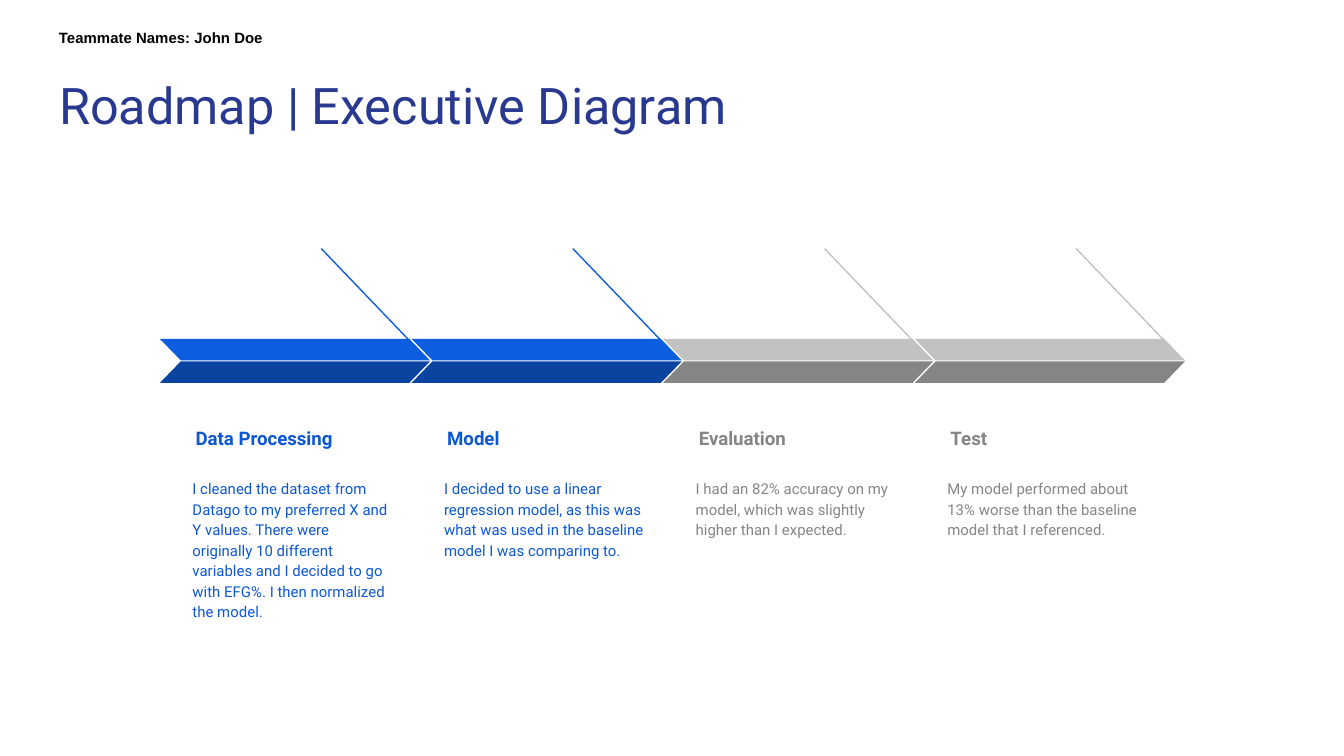
from pptx import Presentation
from pptx.dml.color import RGBColor
from pptx.enum.shapes import MSO_CONNECTOR, MSO_SHAPE
from pptx.enum.text import MSO_ANCHOR, MSO_AUTO_SIZE, PP_ALIGN
from pptx.oxml.ns import qn
from pptx.oxml.xmlchemy import OxmlElement
from pptx.util import Pt

BLUE = ("0D5DDF", "0944A1", "0C58D3")
GRAY = ("C2C2C2", "858585", "858585")
STEPS = [
    ("Data Processing",
     "I cleaned the dataset from Datago to my preferred X and Y values. "
     "There were originally 10 different variables and I decided to go "
     "with EFG%. I then normalized the model.", BLUE),
    ("Model",
     "I decided to use a linear regression model, as this was what was used "
     "in the baseline model I was comparing to.", BLUE),
    ("Evaluation",
     "I had an 82% accuracy on my model, which was slightly higher than "
     "I expected.", GRAY),
    ("Test",
     "My model performed about 13% worse than the baseline model that "
     "I referenced.", GRAY),
]


def rgb(color):
    return RGBColor.from_string(color)


def set_text(sp, text, size, color, font="Roboto", bold=False,
             anchor=MSO_ANCHOR.TOP, spacing=1.0, after=0):
    tf = sp.text_frame
    tf.word_wrap = True
    tf.auto_size = MSO_AUTO_SIZE.NONE
    tf.vertical_anchor = anchor
    tf.margin_left = tf.margin_right = Pt(7.2)
    tf.margin_top = tf.margin_bottom = Pt(7.2)
    p = tf.paragraphs[0]
    p.alignment = PP_ALIGN.LEFT
    p.line_spacing = spacing
    p.space_before = Pt(0)
    p.space_after = Pt(after)
    r = p.add_run()
    r.text = text
    r.font.name = font
    r.font.size = Pt(size)
    r.font.bold = bold
    r.font.color.rgb = rgb(color)


def add_text(shapes, x, y, w, h, text, size, color, **style):
    sp = shapes.add_textbox(Pt(x), Pt(y), Pt(w), Pt(h))
    set_text(sp, text, size, color, **style)


def add_bar(shapes, x, y, w, h, color, flip=False):
    sp = shapes.add_shape(MSO_SHAPE.PARALLELOGRAM, Pt(x), Pt(y), Pt(w), Pt(h))
    sp.adjustments[0] = 0.97
    sp.shadow.inherit = False
    sp.fill.solid()
    sp.fill.fore_color.rgb = rgb(color)
    sp.line.fill.background()
    if flip:
        sp._element.spPr.find(qn("a:xfrm")).set("flipH", "1")


def add_leader(shapes, x1, y1, x2, y2, color):
    line = shapes.add_connector(MSO_CONNECTOR.STRAIGHT,
                                Pt(x1), Pt(y1), Pt(x2), Pt(y2))
    line.line.color.rgb = rgb(color)
    line.line.width = Pt(0.75)
    line._element.spPr.append(OxmlElement("a:effectLst"))


def add_header(slide, x, y, w):
    title = slide.shapes.title
    title.left, title.top, title.width, title.height = (
        Pt(x), Pt(y + 24.5), Pt(w), Pt(47.5))
    set_text(title, "Roadmap | Executive Diagram", 27, "2A3990")
    add_text(slide.shapes, x, y, w, 24.5, "Teammate Names: John Doe", 8,
             "000000", font="Arial", bold=True)


def add_step(slide, x, y, w, heading, body, colors):
    light, dark, ink = colors
    shapes = slide.shapes.add_group_shape().shapes
    add_text(shapes, x + 12, y + 79.2, w - 26, 35.3, heading, 10, ink,
             bold=True, anchor=MSO_ANCHOR.BOTTOM, spacing=1.15)
    add_text(shapes, x + 10.3, y + 115.2, w - 23, 76, body, 8, ink,
             spacing=1.15, after=16)
    add_leader(shapes, x + 86.4, y, x + 142.8, y + 58.8, light)
    add_bar(shapes, x, y + 48.4, w, 11.5, light, flip=True)
    add_bar(shapes, x, y + 60.4, w, 11.5, dark)


def main():
    prs = Presentation()
    prs.slide_width, prs.slide_height = Pt(720), Pt(405)
    slide = prs.slides.add_slide(prs.slide_layouts[5])
    add_header(slide, 24.5, 8, 671)
    for i, (heading, body, colors) in enumerate(STEPS):
        add_step(slide, 85.7 + i * 134.8, 133.2, 144.7, heading, body, colors)
    prs.save("out.pptx")


if __name__ == "__main__":
    main()
